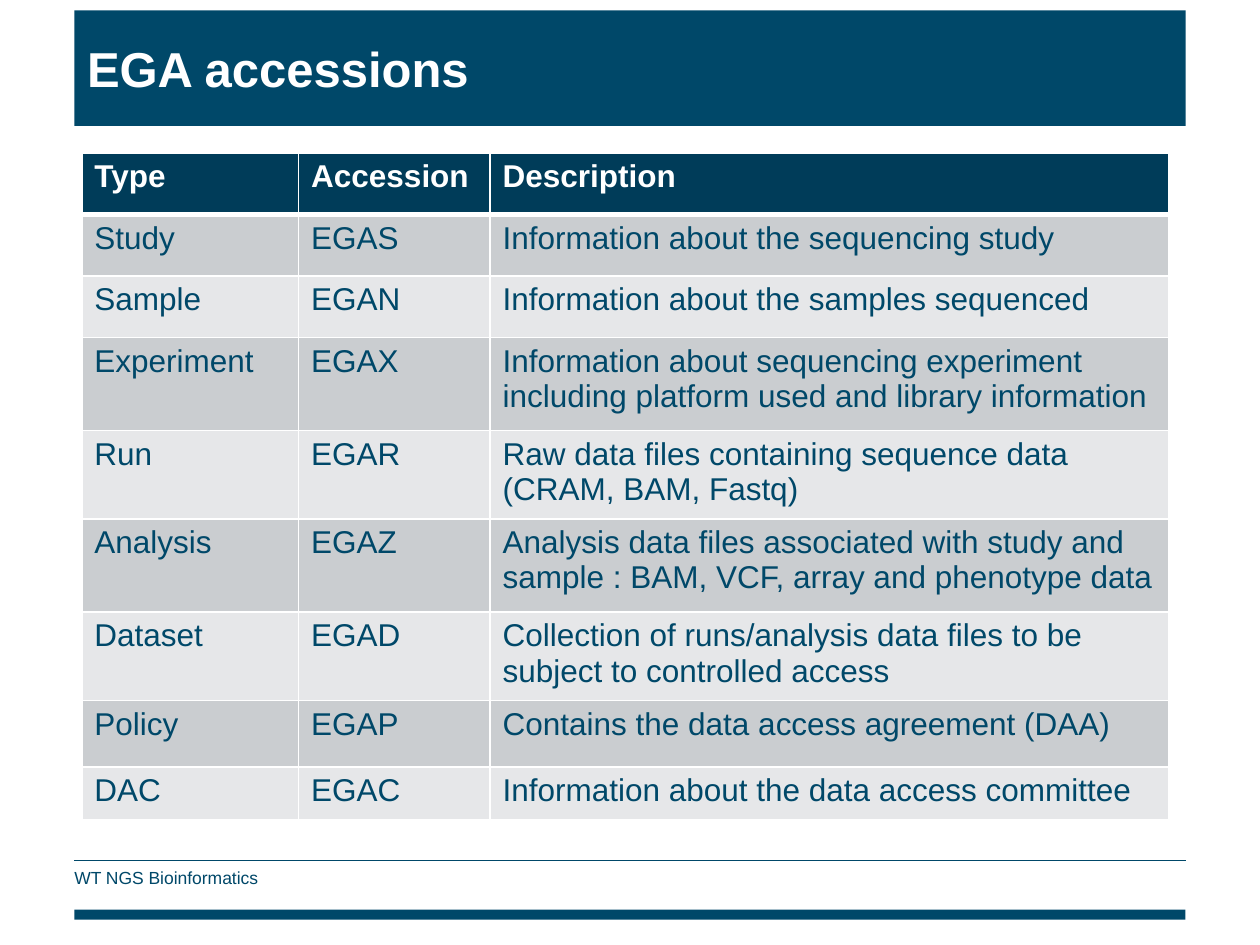
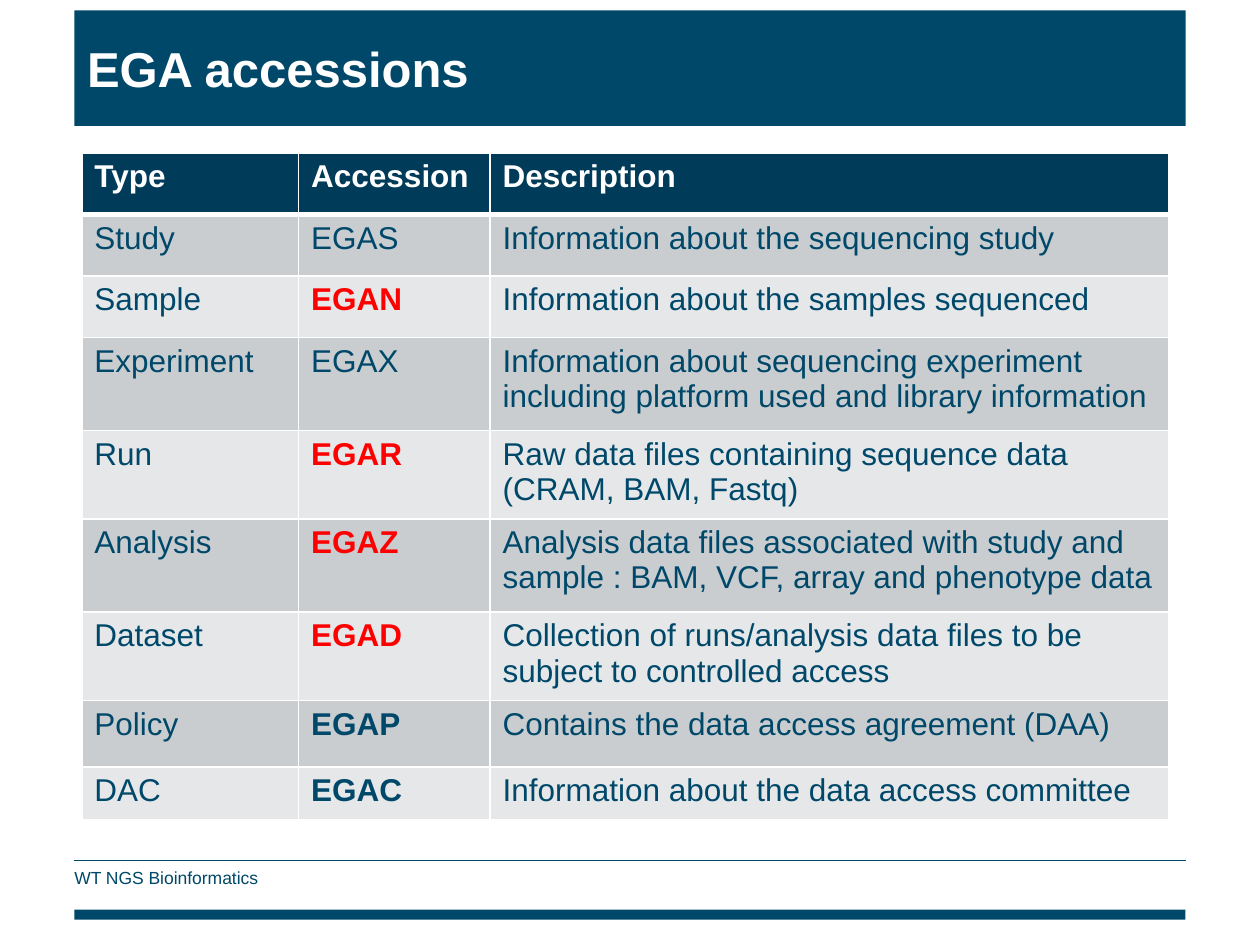
from lxml.etree import SubElement
from pptx import Presentation
from pptx.dml.color import RGBColor
from pptx.enum.shapes import MSO_CONNECTOR, MSO_SHAPE
from pptx.enum.text import MSO_ANCHOR, MSO_AUTO_SIZE, PP_ALIGN
from pptx.oxml.ns import qn
from pptx.util import Cm, Pt

NAVY = RGBColor(0x00, 0x48, 0x69)
HEADER = RGBColor(0x00, 0x3C, 0x59)
DARK_GREY = RGBColor(0xCA, 0xCD, 0xD0)
LIGHT_GREY = RGBColor(0xE6, 0xE7, 0xE9)
WHITE = RGBColor(0xFF, 0xFF, 0xFF)
RED = RGBColor(0xFF, 0x00, 0x00)

TITLE = "EGA accessions"
FOOTER = "WT NGS Bioinformatics"
ROWS = [
    ("Type", "Accession", "Description"),
    ("Study", "EGAS", "Information about the sequencing study"),
    ("Sample", "EGAN", "Information about the samples sequenced"),
    ("Experiment", "EGAX", "Information about sequencing experiment "
     "including platform used and library information"),
    ("Run", "EGAR", "Raw data files containing sequence data (CRAM, BAM, Fastq)"),
    ("Analysis", "EGAZ", "Analysis data files associated with study and "
     "sample : BAM, VCF, array and phenotype data"),
    ("Dataset", "EGAD", "Collection of runs/analysis data files to be "
     "subject to controlled access"),
    ("Policy", "EGAP", "Contains the data access agreement (DAA)"),
    ("DAC", "EGAC", "Information about the data access committee"),
]
HIGHLIGHTS = [
    {},
    {"EGAN": RED, "EGAR": RED, "EGAZ": RED, "EGAD": RED, "EGAP": NAVY, "EGAC": NAVY},
]

LEFT, WIDTH = Cm(1.5), Cm(22.4)
FOOTER_TOP = Cm(17.35)
COL_WIDTHS = [Cm(w) for w in (4.37, 3.86, 13.69)]
ROW_HEIGHTS = [Cm(h) for h in (1.24, 1.24, 1.24, 1.88, 1.67, 1.88, 1.67, 1.34, 1.07)]


def write(tf, text, size=18, color=NAVY, bold=False, anchor=MSO_ANCHOR.TOP):
    tf.word_wrap = True
    tf.vertical_anchor = anchor
    p = tf.paragraphs[0]
    p.alignment = PP_ALIGN.LEFT
    r = p.add_run()
    r.text = text
    r.font.name = "Arial"
    r.font.size = Pt(size)
    r.font.bold = bold
    r.font.color.rgb = color


def add_border(cell, side, width):
    ln = SubElement(cell._tc.get_or_add_tcPr(), qn(f"a:ln{side}"), w=str(Pt(width)))
    fill = SubElement(ln, qn("a:solidFill"))
    SubElement(fill, qn("a:srgbClr"), val=str(WHITE))


def add_frame(s):
    title = s.shapes.title
    title.left, title.top, title.width, title.height = LEFT, Cm(0.21), WIDTH, Cm(2.33)
    title.fill.solid()
    title.fill.fore_color.rgb = NAVY
    title.text_frame.auto_size = MSO_AUTO_SIZE.NONE
    write(title.text_frame, TITLE, size=28, color=WHITE, bold=True,
          anchor=MSO_ANCHOR.MIDDLE)

    band = s.shapes.add_shape(MSO_SHAPE.RECTANGLE, LEFT, Cm(18.34), WIDTH, Cm(0.2))
    band.shadow.inherit = False
    band.fill.solid()
    band.fill.fore_color.rgb = NAVY
    band.line.fill.background()

    rule = s.shapes.add_connector(MSO_CONNECTOR.STRAIGHT, LEFT, FOOTER_TOP,
                                  LEFT + WIDTH, FOOTER_TOP)
    rule.line.color.rgb = NAVY
    rule.line.width = Pt(0.75)
    SubElement(rule._element.spPr, qn("a:effectLst"))

    footer = s.shapes.add_textbox(LEFT, FOOTER_TOP, Cm(19.66), Cm(0.69))
    footer.text_frame.margin_left = 0
    write(footer.text_frame, FOOTER, size=10, anchor=MSO_ANCHOR.MIDDLE)


def add_accessions(s, highlights):
    table = s.shapes.add_table(len(ROWS), len(COL_WIDTHS), Cm(1.65), Cm(3.08),
                               sum(COL_WIDTHS), sum(ROW_HEIGHTS)).table
    for col, width in zip(table.columns, COL_WIDTHS):
        col.width = width
    for i, (row, height) in enumerate(zip(ROWS, ROW_HEIGHTS)):
        table.rows[i].height = height
        header = i == 0
        fill = HEADER if header else DARK_GREY if i % 2 else LIGHT_GREY
        for j, text in enumerate(row):
            cell = table.cell(i, j)
            for side in "LRTB":
                thick = (i, side) in ((0, "B"), (1, "T"))
                add_border(cell, side, 3 if thick else 1)
            cell.fill.solid()
            cell.fill.fore_color.rgb = fill
            color = WHITE if header else highlights.get(text, NAVY)
            write(cell.text_frame, text, color=color, bold=header or text in highlights)


def main():
    prs = Presentation()
    prs.slide_width, prs.slide_height = Cm(25.4), Cm(19.05)
    for highlights in HIGHLIGHTS:
        s = prs.slides.add_slide(prs.slide_layouts[5])
        add_frame(s)
        add_accessions(s, highlights)
    prs.save("out.pptx")


if __name__ == "__main__":
    main()
